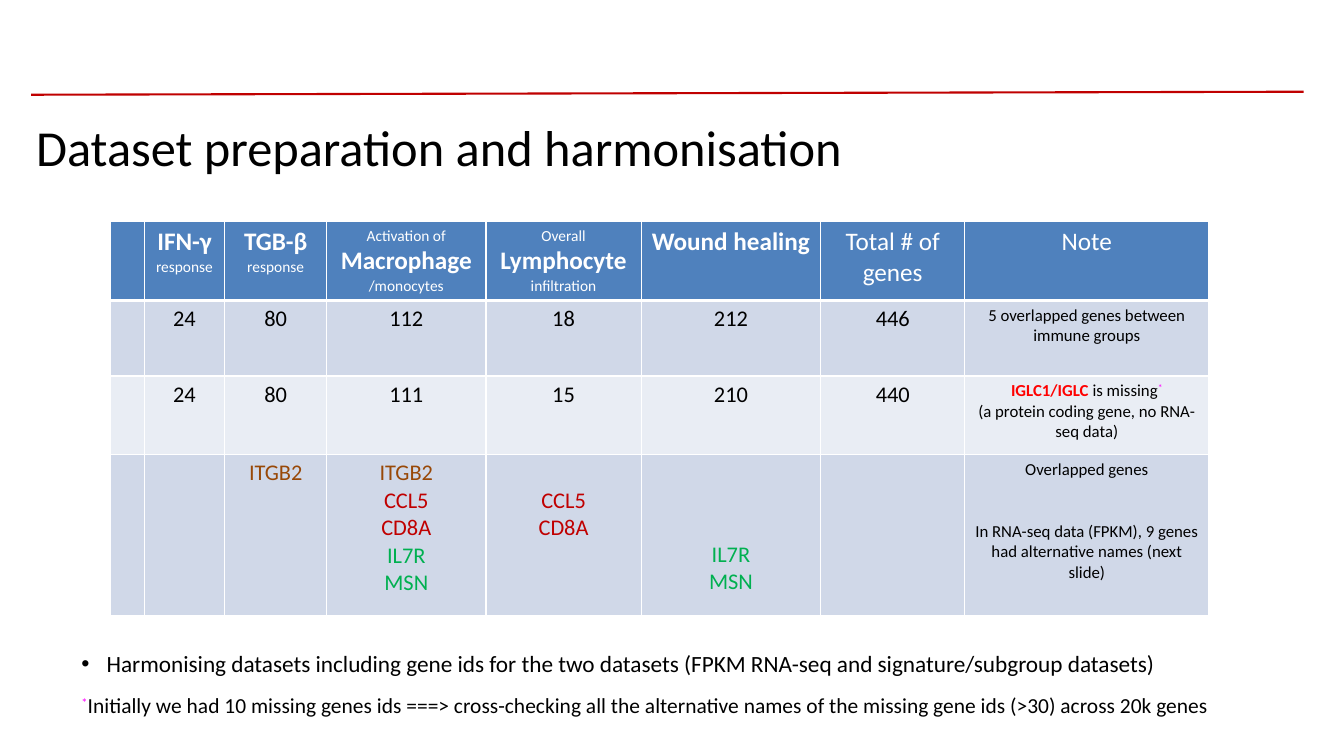
from lxml.etree import SubElement as Sub
from pptx import Presentation
from pptx.dml.color import RGBColor as RGB
from pptx.enum.shapes import MSO_CONNECTOR as Link
from pptx.enum.text import MSO_ANCHOR as Anchor, PP_ALIGN as Align
from pptx.oxml.ns import qn
from pptx.util import Pt

PX = 9144  # 100 px to the inch
FONT = "Calibri"
BLACK, WHITE = RGB(0, 0, 0), RGB(255, 255, 255)
BLUE, DARK, PALE = RGB(79, 129, 189), RGB(208, 216, 232), RGB(233, 237, 244)
CRIMSON, RED, PINK = RGB(192, 0, 0), RGB(255, 0, 0), RGB(255, 0, 255)
BROWN, GREEN = RGB(152, 72, 7), RGB(0, 176, 80)

COLS = [34, 80, 101, 158, 154, 178, 143, 242]
ROWS = [78, 75, 78, 160]
LINE = 27  # height of one gene line

BIG = {"size": Pt(18), "bold": True}
PLAIN = {"size": Pt(18)}
TINY = {"size": Pt(11)}
NUM = {"size": Pt(16)}
NOTE = {"size": Pt(12)}

# Each header is a list of (text, format) lines
HEADS = [
    [],
    [("IFN-γ", BIG), ("response", TINY)],
    [("TGB-β", BIG), ("response", TINY)],
    [("Activation of", TINY), ("Macrophage", BIG), ("/monocytes", TINY)],
    [("Overall", TINY), ("Lymphocyte", BIG), ("infiltration", TINY)],
    [("Wound healing", BIG)],
    [("Total # of genes", PLAIN)],
    [("Note", PLAIN)],
]
COUNTS = [[24, 80, 112, 18, 212, 446], [24, 80, 111, 15, 210, 440]]
GENES = [("ITGB2", BROWN), ("CCL5", CRIMSON), ("CD8A", CRIMSON),
         ("IL7R", GREEN), ("MSN", GREEN)]
SPANS = {2: (0, 1), 3: (0, 5), 4: (1, 3), 5: (3, 5)}  # column: gene range


def px(*nums):
    return [num * PX for num in nums]


def add_run(para, text, size, color=BLACK, bold=False, raised=False):
    run = para.add_run()
    run.text = text
    for key, val in {"name": FONT, "size": size, "bold": bold}.items():
        setattr(run.font, key, val)
    run.font.color.rgb = color
    if raised:
        run.font._element.set("baseline", "30000")


def next_para(frame, first):
    para = frame.paragraphs[0] if first else frame.add_paragraph()
    para.alignment = Align.CENTER
    return para


def fill_lines(cell, lines):
    for i, (text, form) in enumerate(lines):
        add_run(next_para(cell.text_frame, i == 0), text, **form)


def style_cell(cell, color, head):
    form = {"margin_left": 9 * PX, "margin_right": 9 * PX,
            "margin_top": 5 * PX, "vertical_anchor": Anchor.TOP}
    for key, val in form.items():
        setattr(cell, key, val)
    props = cell._tc.get_or_add_tcPr()
    for side in "LRTB":
        wide = 3 if head and side == "B" else 1
        edge = Sub(props, qn(f"a:ln{side}"), w=str(Pt(wide)))
        Sub(Sub(edge, qn("a:solidFill")), qn("a:srgbClr"), val=str(WHITE))
    cell.fill.solid()
    cell.fill.fore_color.rgb = color


def add_rule(slide, x, y, w, rise):
    rule = slide.shapes.add_connector(Link.STRAIGHT,
                                      *px(x, y, x + w, y - rise))
    rule.line.color.rgb = CRIMSON
    rule.line.width = Pt(1.5)
    Sub(rule._element.spPr, qn("a:effectLst"))


def add_text(slide, box, space, runs, anchor=Anchor.TOP, bullet=False):
    frame = slide.shapes.add_textbox(*px(*box)).text_frame
    frame.word_wrap = True
    frame.vertical_anchor = anchor
    para = frame.paragraphs[0]
    para.line_spacing = space
    if bullet:
        props = para._p.get_or_add_pPr()
        props.set("marL", str(25 * PX))
        props.set("indent", str(-25 * PX))
        Sub(props, qn("a:buFont"), typeface="Arial")
        Sub(props, qn("a:buChar"), char="•")
    for text, form in runs:
        add_run(para, text, **form)


def add_notes(cells):
    # Last column, below the header
    fill_lines(cells[0], [("5 overlapped genes between immune groups", NOTE)])
    para = next_para(cells[1].text_frame, True)
    add_run(para, "IGLC1/IGLC", color=RED, bold=True, **NOTE)
    add_run(para, " is missing", **NOTE)
    add_run(para, "*", color=PINK, raised=True, **NOTE)
    add_run(next_para(cells[1].text_frame, False),
            "(a protein coding gene, no RNA-seq data)", **NOTE)
    fill_lines(cells[2], [
        ("Overlapped genes", NOTE),
        ("In RNA-seq data (FPKM), 9 genes had alternative names (next slide)",
         NOTE)])
    cells[2].text_frame.paragraphs[1].space_before = Pt(29.3)


def add_grid(slide, x, y):
    box = px(x, y, sum(COLS), sum(ROWS))
    grid = slide.shapes.add_table(len(ROWS), len(COLS), *box).table
    for col, wide in zip(grid.columns, COLS):
        col.width = wide * PX
    for r, (row, high) in enumerate(zip(grid.rows, ROWS)):
        row.height = high * PX
        for cell in row.cells:
            style_cell(cell, [BLUE, DARK, PALE, DARK][r], r == 0)
    # Header
    for c, lines in enumerate(HEADS):
        fill_lines(grid.cell(0, c),
                   [(text, {**form, "color": WHITE}) for text, form in lines])
    # Gene counts
    for r, counts in enumerate(COUNTS, 1):
        for c, count in enumerate(counts, 1):
            fill_lines(grid.cell(r, c), [(str(count), NUM)])
    # Shared genes, level across the columns
    for c, (start, end) in SPANS.items():
        cell = grid.cell(3, c)
        cell.margin_top = (5 + LINE * start) * PX
        fill_lines(cell, [(gene, {**NUM, "color": color})
                          for gene, color in GENES[start:end]])
    add_notes([grid.cell(r, len(COLS) - 1) for r in (1, 2, 3)])


def add_foot(slide, x, y, w, h):
    add_text(slide, (x, y, w, h), 0.9, [
        ("Harmonising datasets including gene ids for the two datasets "
         "(FPKM RNA-seq and signature/subgroup datasets)",
         {"size": Pt(16.6)})], bullet=True)
    small = {"size": Pt(15.3)}
    add_text(slide, (x, y + h + 1, w, h), 0.8, [
        ("*", {**small, "color": PINK, "raised": True}),
        ("Initially we had 10 missing genes ids ===> cross-checking all the "
         "alternative names of the missing gene ids (>30) across 20k genes",
         small)])


def main():
    deck = Presentation()
    deck.slide_width, deck.slide_height = px(1333, 750)
    slide = deck.slides.add_slide(deck.slide_layouts[6])
    add_rule(slide, 31, 94, 1262, 3)
    add_text(slide, (26, 108, 1150, 81), 0.9,
             [("Dataset preparation and harmonisation", {"size": Pt(36)})],
             Anchor.MIDDLE)
    add_grid(slide, 109, 220)
    add_foot(slide, 71, 642, 1165, 44)
    deck.save("out.pptx")


if __name__ == "__main__":
    main()
